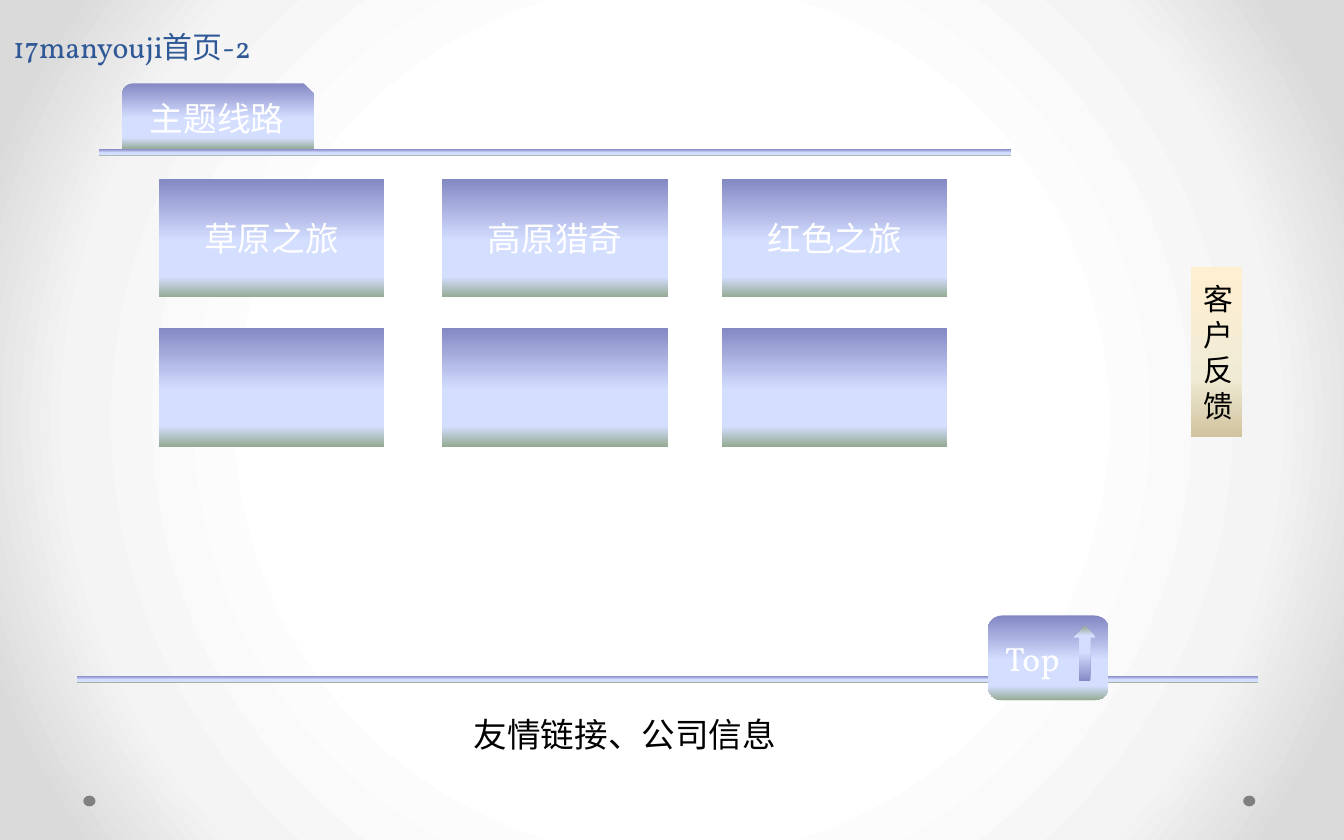
import pptx
import pptx.util
import pptx.oxml
import pptx.oxml.ns
import pptx.dml.color
import pptx.enum.shapes
import pptx.enum.text

Inches = pptx.util.Inches
Pt = pptx.util.Pt
SHAPE = pptx.enum.shapes.MSO_SHAPE
ALIGN = pptx.enum.text.PP_ALIGN
ANCHOR = pptx.enum.text.MSO_ANCHOR
RGB = pptx.dml.color.RGBColor.from_string
qn = pptx.oxml.ns.qn

BLUE = [(0, "8488C4"), (53, "D4DEFF"), (83, "D4DEFF"), (100, "96AB94")]
SAND = [(0, "FFEFD1"), (65, "F0EBD5"), (100, "D1C39F")]
PAPER = [(50, "FFFFFF"), (76, "F4F4F4"), (92, "DADADA")]
LINEAR = '<a:lin {ns} ang="5400000" scaled="0"/>'
RADIAL = ('<a:path {ns} path="circle">'
          '<a:fillToRect l="50000" t="50000" r="50000" b="50000"/></a:path>')


def paint(fill, element, stops, direction=LINEAR):
    """Give a fill its gradient stops and its direction."""
    fill.gradient()
    grad = next(element.iter(qn("a:gradFill")))
    grad.set("rotWithShape", "1")
    for child in list(grad):
        grad.remove(child)
    ns = pptx.oxml.ns.nsdecls("a")
    gs = "".join(f'<a:gs pos="{pos * 1000}"><a:srgbClr val="{color}"/></a:gs>'
                 for pos, color in stops)
    grad.append(pptx.oxml.parse_xml(f"<a:gsLst {ns}>{gs}</a:gsLst>"))
    grad.append(pptx.oxml.parse_xml(direction.format(ns=ns)))


def write(sp, text, size=18, color="FFFFFF", align=ALIGN.CENTER,
          anchor=ANCHOR.MIDDLE, spacing=None):
    tf = sp.text_frame
    tf.word_wrap = True
    tf.vertical_anchor = anchor
    p = tf.paragraphs[0]
    p.alignment = align
    if spacing:
        p.line_spacing = Pt(spacing)
    r = p.add_run()
    r.text = text
    r.font.name = "Vollkorn"
    r.font.size = Pt(size)
    r.font.color.rgb = RGB(color)


prs = pptx.Presentation()
prs.slide_width, prs.slide_height = Inches(10), Inches(6.25)
s = prs.slides.add_slide(prs.slide_layouts[6])

# Background
paint(s.background.fill, s.element, PAPER, RADIAL)

# Corner dots
for x in (9.25, 0.62):
    dot = s.shapes.add_shape(SHAPE.OVAL, Inches(x), Inches(5.92),
                             Inches(0.09), Inches(0.08))
    dot.shadow.inherit = False
    dot.fill.solid()
    dot.fill.fore_color.rgb = RGB("808080")
    dot.line.fill.background()

# Title
title = s.shapes.add_textbox(0, 0, Inches(4.24), Inches(0.53))
write(title, "17manyouji首页-2", size=16, color="2F5897", align=ALIGN.LEFT,
      anchor=ANCHOR.BOTTOM, spacing=58)

# Panels: parent, kind, left, top, width, height, stops, text, text format
top_button = s.shapes.add_group_shape()
panels = [
    (s, SHAPE.SNIP_ROUND_RECTANGLE, 0.91, 0.62, 1.43, 0.49, BLUE, "主题线路", {}),
    (s, SHAPE.RECTANGLE, 0.74, 1.11, 6.78, 0.05, BLUE, "", {}),
    (s, SHAPE.RECTANGLE, 0.57, 5.03, 8.79, 0.05, BLUE, "", {}),
    (top_button, SHAPE.ROUNDED_RECTANGLE, 7.35, 4.58, 0.9, 0.63, BLUE, "Top",
     {"align": ALIGN.LEFT}),
    (top_button, SHAPE.DOWN_ARROW, 7.99, 4.66, 0.16, 0.41, BLUE, "", {}),
    (s, SHAPE.RECTANGLE, 8.86, 1.99, 0.38, 1.26, SAND, "客户反馈",
     {"size": 16, "color": "000000"}),
]

# Route cards: three columns, the second row still empty
routes = ["草原之旅", "高原猎奇", "红色之旅"]
for y, names in ((1.33, routes), (2.44, [""] * 3)):
    for x, name in zip((1.18, 3.29, 5.37), names):
        panels.append((s, SHAPE.RECTANGLE, x, y, 1.68, 0.88, BLUE, name, {}))

for parent, kind, x, y, w, h, stops, text, style in panels:
    sp = parent.shapes.add_shape(kind, Inches(x), Inches(y), Inches(w), Inches(h))
    sp.shadow.inherit = False
    paint(sp.fill, sp.element, stops)
    sp.line.fill.background()
    if kind == SHAPE.DOWN_ARROW:
        sp.rotation = 180
    if text:
        write(sp, text, **style)

# Keep the button above the footer rule
s.shapes._spTree.append(top_button.element)

# Footer
footer = s.shapes.add_textbox(Inches(1.43), Inches(5.18), Inches(6.44), Inches(0.56))
write(footer, "友情链接、公司信息", color="000000")

prs.save("out.pptx")
